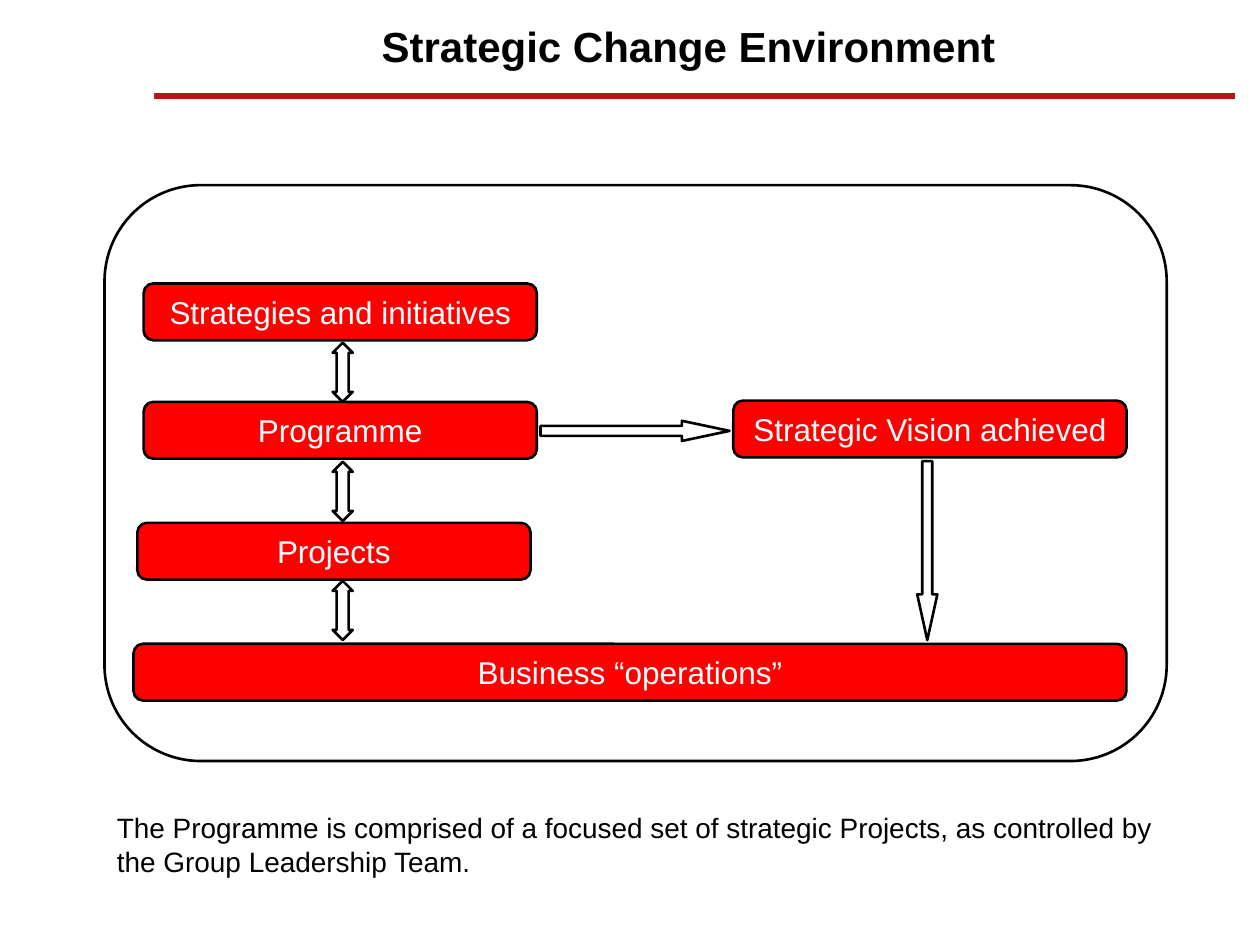
from pptx import Presentation
from pptx.dml.color import RGBColor
from pptx.enum.shapes import MSO_CONNECTOR, MSO_SHAPE
from pptx.enum.text import MSO_ANCHOR, PP_ALIGN
from pptx.oxml.ns import qn
from pptx.util import Inches, Pt
from lxml import etree

ROUND = MSO_SHAPE.ROUNDED_RECTANGLE
RIGHT = MSO_SHAPE.RIGHT_ARROW
DOWN = MSO_SHAPE.DOWN_ARROW
BOTH = MSO_SHAPE.UP_DOWN_ARROW
STRAIGHT = MSO_CONNECTOR.STRAIGHT
MIDDLE = MSO_ANCHOR.MIDDLE
CENTER, LEFT = PP_ALIGN.CENTER, PP_ALIGN.LEFT

HEX = {"rule": "B91713", "box": "FF0000", "edge": "000000",
       "ink": "000000", "label": "FFFFFF"}
FONT = "Arial"
WIDE, HIGH = 10, 7.5
BOX_W, BOX_H = 3.12, 0.45
ARROW = 0.16                            # thickness of every block arrow
ROWS = [2.25, 3.19, 4.15, 5.11]         # tops of the four levels
STEM = 2.64                             # left of the two-way arrows
EDGE = 8.94                             # right side of the diagram
FRAME_X, FRAME_W = 0.83, 8.43


def color(name):
    return RGBColor.from_string(HEX[name])


def inches(*sizes):
    return [Inches(size) for size in sizes]


def write(shape, text, size, ink, align=CENTER, bold=False, before=0):
    frame = shape.text_frame
    frame.word_wrap = True
    frame.vertical_anchor = MIDDLE
    para = frame.paragraphs[0]
    para.alignment = align
    para.space_before = Pt(before)
    run = para.add_run()
    run.text = text
    run.font.name = FONT
    run.font.size = Pt(size)
    run.font.bold = bold
    run.font.color.rgb = color(ink)


def outline(slide, kind, at, adjust, fill=None):
    shape = slide.shapes.add_shape(kind, *inches(*at))
    shape.shadow.inherit = False
    for i, value in enumerate(adjust):
        shape.adjustments[i] = value
    if fill:
        shape.fill.solid()
        shape.fill.fore_color.rgb = color(fill)
    else:
        shape.fill.background()
    shape.line.color.rgb = color("edge")
    shape.line.width = Pt(1.5)
    return shape


def box(slide, text, x, y, w=BOX_W):
    shape = outline(slide, ROUND, (x, y, w, BOX_H), [0.167], "box")
    write(shape, text, 18, "label", before=2.2)


def note(slide, at, text, size, **style):
    write(slide.shapes.add_textbox(*inches(*at)), text, size, "ink", **style)


def rule(slide, x, end, y):
    line = slide.shapes.add_connector(STRAIGHT, *inches(x, y, end, y))
    line.line.color.rgb = color("rule")
    line.line.width = Pt(3.25)
    etree.SubElement(line._element.spPr, qn("a:effectLst"))


def main():
    deck = Presentation()
    deck.slide_width, deck.slide_height = inches(WIDE, HIGH)
    slide = deck.slides.add_slide(deck.slide_layouts[6])

    # Heading
    rule(slide, 1.22, 9.8, 0.76)
    note(slide, (1.45, -0.03, 8.03, 0.79), "Strategic Change Environment",
         24, bold=True)

    # Levels and the vision they lead to
    box(slide, "Strategies and initiatives", 1.14, ROWS[0])
    box(slide, "Programme", 1.14, ROWS[1])
    box(slide, "Projects", 1.09, ROWS[2])
    box(slide, "Business “operations”", 1.06, ROWS[3], EDGE - 1.06)
    box(slide, "Strategic Vision achieved", EDGE - BOX_W, 3.18)

    # Arrows between the boxes
    outline(slide, RIGHT, (4.29, 3.34, 1.5, ARROW), [0.5, 2.364])
    for i in range(len(ROWS) - 1):
        outline(slide, BOTH, (STEM, 2.72 + 0.945 * i, ARROW, 0.47),
                [0.5, 0.594])
    outline(slide, DOWN, (7.28, 3.66, ARROW, 1.42), [0.5, 2.268])

    # Frame and the remark below it
    outline(slide, ROUND, (FRAME_X, 1.47, FRAME_W, 4.57), [0.167])
    note(slide, (FRAME_X, 6.19, FRAME_W, 1.02),
         "The Programme is comprised of a focused set of strategic Projects, "
         "as controlled by the Group Leadership Team.", 16, align=LEFT)

    deck.save("out.pptx")


if __name__ == "__main__":
    main()
